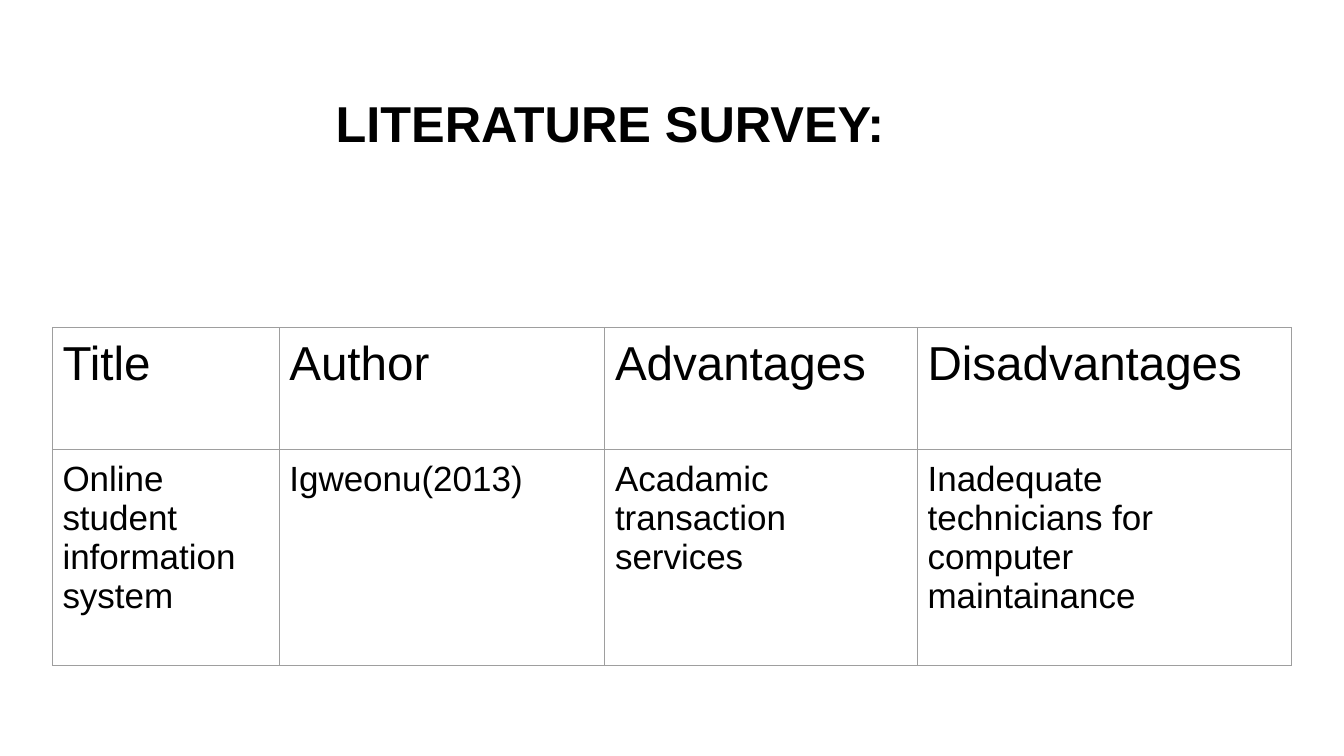
from pptx import Presentation
from pptx.dml.color import RGBColor
from pptx.enum import text
from pptx.oxml import parse_xml
from pptx.oxml import ns
from pptx.util import Inches, Pt

COLOURS = {"ink": "000000", "rule": "9E9E9E"}
COLUMN_WIDTHS = [2.25, 3.23, 3.1, 3.71]
ROW_HEIGHTS = [1.21, 2.14]
ROW_SIZES = [34, 25]
SURVEY = [
    ["Title", "Author", "Advantages", "Disadvantages"],
    [
        "Online student information system",
        "Igweonu(2013)",
        "Acadamic transaction services",
        "Inadequate technicians for computer maintainance",
    ],
]


def write_text(frame, words, size, bold=False, inset=0.0, line_spacing=1.0):
    frame.word_wrap = True
    frame.margin_left = frame.margin_right = Inches(inset)
    frame.margin_top = frame.margin_bottom = Inches(inset)
    para = frame.paragraphs[0]
    para.alignment = text.PP_ALIGN.LEFT
    para.line_spacing = line_spacing
    span = para.add_run()
    span.text = words
    span.font.name = "Arial"
    span.font.size = Pt(size)
    span.font.bold = bold
    span.font.color.rgb = RGBColor.from_string(COLOURS["ink"])


def add_title(page, words):
    title = page.shapes.title
    title.left, title.top = Inches(3.33), Inches(0.71)
    title.width, title.height = Inches(10), Inches(1.09)
    write_text(title.text_frame, words, 36, bold=True, line_spacing=0.9)
    title.text_frame.auto_size = text.MSO_AUTO_SIZE.NONE
    title.text_frame.vertical_anchor = text.MSO_ANCHOR.MIDDLE


def set_borders(cell, colour, width):
    properties = cell._tc.get_or_add_tcPr()
    for side in ("lnL", "lnR", "lnT", "lnB"):
        properties.append(parse_xml(
            f'<a:{side} {ns.nsdecls("a")} w="{Pt(width)}"><a:solidFill>'
            f'<a:srgbClr val="{colour}"/></a:solidFill></a:{side}>'
        ))


def add_survey_table(page, left, top):
    frame = page.shapes.add_table(
        len(SURVEY), len(COLUMN_WIDTHS), Inches(left), Inches(top),
        Inches(sum(COLUMN_WIDTHS)), Inches(sum(ROW_HEIGHTS)),
    )
    table = frame.table
    table.first_row = table.horz_banding = False
    for column, width in zip(table.columns, COLUMN_WIDTHS):
        column.width = Inches(width)
    for row, height, size, entries in zip(table.rows, ROW_HEIGHTS, ROW_SIZES, SURVEY):
        row.height = Inches(height)
        for cell, words in zip(row.cells, entries):
            write_text(cell.text_frame, words, size)
            cell.margin_left = cell.margin_right = Inches(0.1)
            cell.margin_top = cell.margin_bottom = Inches(0.1)
            set_borders(cell, COLOURS["rule"], 0.75)
            cell.fill.background()


def main():
    deck = Presentation()
    deck.slide_width, deck.slide_height = Inches(13.33), Inches(7.5)
    page = deck.slides.add_slide(deck.slide_layouts[5])
    add_title(page, "LITERATURE SURVEY:")
    add_survey_table(page, 0.52, 3.25)
    deck.save("out.pptx")


if __name__ == "__main__":
    main()
